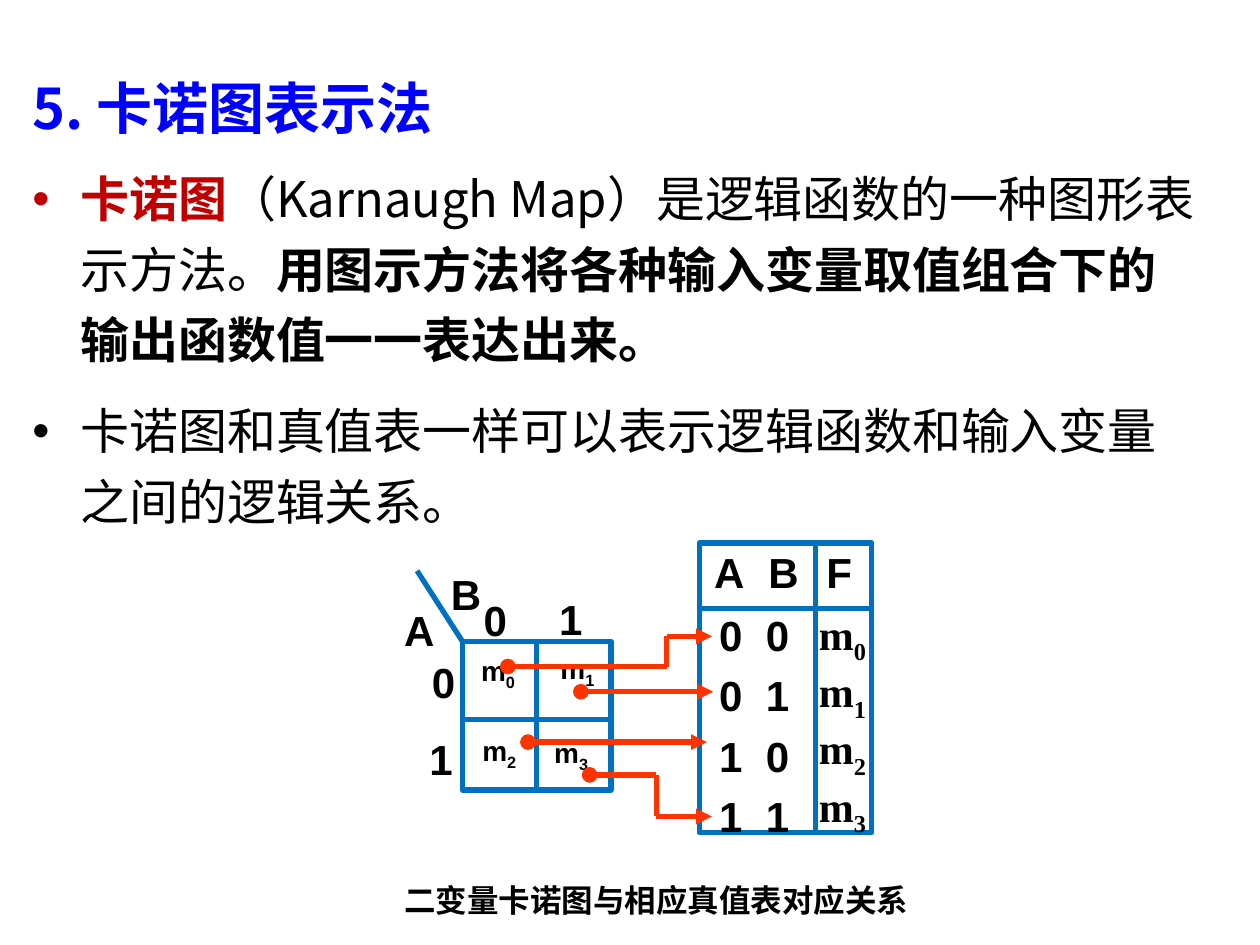
from lxml import etree
from pptx import Presentation
from pptx import util as u
from pptx.dml.color import RGBColor
from pptx.enum import shapes, text
from pptx.oxml.ns import qn

WIDTH, HEIGHT = 10, 7.5
COLORS = {"white": "FFFFFF", "black": "000000", "heading": "0000FF",
          "term": "C00000", "grid": "0070C0", "arrow": "FF3300"}
CJK, SANS, SERIF = "Noto Sans CJK SC", "Arial", "Times New Roman"


def color(name):
    return RGBColor.from_string(COLORS[name])


def place(shape, box):
    shape.left, shape.top, shape.width, shape.height = map(u.Inches, box)


def add_run(paragraph, content, size=24, font=SANS, fill="black", bold=True, subscript=False):
    run = paragraph.add_run()
    run.text = content
    run.font.size, run.font.name, run.font.bold = u.Pt(size), font, bold
    run.font.color.rgb = color(fill)
    properties = run.font._element
    etree.SubElement(properties, qn("a:ea")).set("typeface", font)
    if subscript:
        properties.set("baseline", "-25000")


def add_text(slide, box, paragraphs, align=text.PP_ALIGN.JUSTIFY, pitch=None, gap=0, **style):
    """Add a text box; each paragraph is a list of (text, format overrides) runs."""
    shape = slide.shapes.add_textbox(*map(u.Inches, box))
    frame = shape.text_frame
    frame.word_wrap = True
    for index, runs in enumerate(paragraphs):
        paragraph = frame.paragraphs[0] if index == 0 else frame.add_paragraph()
        paragraph.alignment = align
        if pitch:
            paragraph.line_spacing = u.Pt(pitch)
        paragraph.space_before = u.Pt(gap if index else 0)
        paragraph.space_after = u.Pt(gap)
        for content, overrides in runs:
            add_run(paragraph, content, **{**style, **overrides})
    return shape


def add_label(slide, left, top, content, **style):
    add_text(slide, (left, top, 0.53, 0.77), [[(content, {})]], **style)


def minterm(index):
    return [("m", {}), (str(index), {"subscript": True})]


def add_rectangle(slide, box, line, width, fill=None):
    shape = slide.shapes.add_shape(shapes.MSO_SHAPE.RECTANGLE, *map(u.Inches, box))
    shape.shadow.inherit = False
    if fill:
        shape.fill.solid()
        shape.fill.fore_color.rgb = color(fill)
    else:
        shape.fill.background()
    shape.line.color.rgb = color(line)
    shape.line.width = u.Pt(width)
    return shape


def add_line(slide, start, end, stroke="grid", dot=False, arrow=False):
    line = slide.shapes.add_connector(
        shapes.MSO_CONNECTOR.STRAIGHT, *map(u.Inches, (*start, *end)))
    line.line.color.rgb = color(stroke)
    line.line.width = u.Pt(3)
    outline = line.line._get_or_add_ln()
    if dot:
        etree.SubElement(outline, qn("a:headEnd")).set("type", "oval")
    if arrow:
        etree.SubElement(outline, qn("a:tailEnd")).set("type", "triangle")
    etree.SubElement(line._element.spPr, qn("a:effectLst"))
    return line


def add_heading(slide, box):
    banner = add_rectangle(slide, (0.13, 0, WIDTH - 0.13, 1.19), "white", 0.75, "white")
    title = slide.shapes.title
    banner._element.addnext(title._element)
    place(title, box)
    frame = title.text_frame
    frame.vertical_anchor = text.MSO_ANCHOR.TOP
    frame.auto_size = text.MSO_AUTO_SIZE.NONE
    paragraph = frame.paragraphs[0]
    paragraph.alignment = text.PP_ALIGN.LEFT
    paragraph.line_spacing = u.Pt(46)
    paragraph.space_before = u.Pt(0)
    add_run(paragraph, "5. 卡诺图表示法", size=32, font=CJK, fill="heading")


def add_bullets(slide, box):
    plain = {"bold": False}
    shape = add_text(slide, box, [
        [("卡诺图", {"fill": "term"}),
         ("（Karnaugh Map）是逻辑函数的一种图形表示方法。", plain),
         ("用图示方法将各种输入变量取值组合下的输出函数值一一表达出来。", {})],
        [("卡诺图和真值表一样可以表示逻辑函数和输入变量之间的逻辑关系。", plain)],
    ], align=text.PP_ALIGN.LEFT, pitch=40.2, gap=6, size=28, font=CJK)
    indent = u.Inches(0.38)
    for paragraph in shape.text_frame.paragraphs:
        properties = paragraph._element.get_or_add_pPr()
        properties.set("marL", str(indent))
        properties.set("indent", str(-indent))
        etree.SubElement(properties, qn("a:buFont")).set("typeface", SANS)
        etree.SubElement(properties, qn("a:buChar")).set("char", "•")


def add_karnaugh_map(slide, box):
    left, top, width, height = box
    frame = add_rectangle(slide, box, "grid", 3)
    middle = top + 0.62
    add_line(slide, (left, middle), (left + width, middle))
    divider = add_line(slide, (left + width / 2, top), (left + width / 2, top + height))
    divider.begin_connect(frame, 0)
    divider.end_connect(frame, 2)
    add_line(slide, (left, top), (left - 0.36, top - 0.56))
    for content, dx, dy in [("A", -0.56, -0.34), ("B", -0.19, -0.63),
                            ("0", 0.07, -0.42), ("1", 0.67, -0.43),
                            ("0", -0.34, 0.07), ("1", -0.36, 0.68)]:
        add_label(slide, left + dx, top + dy, content)
    cells = [(0.05, 0.05), (0.68, 0.03), (0.06, 0.68), (0.63, 0.7)]
    for index, (dx, dy) in enumerate(cells):
        add_text(slide, (left + dx, top + dy, 0.53, 0.77), [minterm(index)], size=16)


def add_truth_table(slide, box):
    left, top, width, height = box
    add_rectangle(slide, box, "grid", 3)
    add_line(slide, (left, top + 0.52), (left + width, top + 0.52))
    add_line(slide, (left + 0.92, top), (left + 0.92, top + height))
    for content, dx in [("A", 0.02), ("B", 0.45), ("F", 0.91)]:
        add_label(slide, left + dx, top - 0.02, content)
    rows = [[(f"{a}\t{b}", {})] for a in (0, 1) for b in (0, 1)]
    inputs = add_text(slide, (left + 0.06, top + 0.4, 1.1, 2.04), rows,
                      align=text.PP_ALIGN.LEFT, pitch=34.5)
    for paragraph in inputs.text_frame.paragraphs:
        stops = etree.SubElement(paragraph._element.get_or_add_pPr(), qn("a:tabLst"))
        stop = etree.SubElement(stops, qn("a:tab"))
        stop.set("pos", str(u.Inches(0.37)))
        stop.set("algn", "l")
    add_text(slide, (left + 0.85, top + 0.47, 0.62, 1.92), [minterm(i) for i in range(4)],
             align=text.PP_ALIGN.LEFT, pitch=32.7, font=SERIF)


def add_mapping_arrows(slide):
    routes = [
        [(4.03, 5.29), (5.29, 5.29), (5.29, 5.05), (5.65, 5.05)],
        [(4.61, 5.49), (5.66, 5.49)],
        [(4.19, 5.89), (5.61, 5.89)],
        [(4.68, 6.15), (5.21, 6.15), (5.21, 6.48), (5.65, 6.48)],
    ]
    for route in routes:
        for start, end in zip(route, route[1:]):
            add_line(slide, start, end, "arrow", dot=start == route[0], arrow=end == route[-1])


def main():
    presentation = Presentation()
    presentation.slide_width, presentation.slide_height = u.Inches(WIDTH), u.Inches(HEIGHT)
    slide = presentation.slides.add_slide(presentation.slide_layouts[5])
    add_heading(slide, (0.16, 0.43, 9.43, 0.76))
    add_bullets(slide, (0.16, 1.2, 9.43, 3.02))
    add_karnaugh_map(slide, (3.67, 5.09, 1.18, 1.18))
    add_truth_table(slide, (5.55, 4.31, 1.37, 2.3))
    add_mapping_arrows(slide)
    add_text(slide, (3.11, 6.94, 5.13, 0.36),
             [[("二变量卡诺图与相应真值表对应关系", {})]], size=18, font=CJK)
    presentation.save("out.pptx")


if __name__ == "__main__":
    main()
